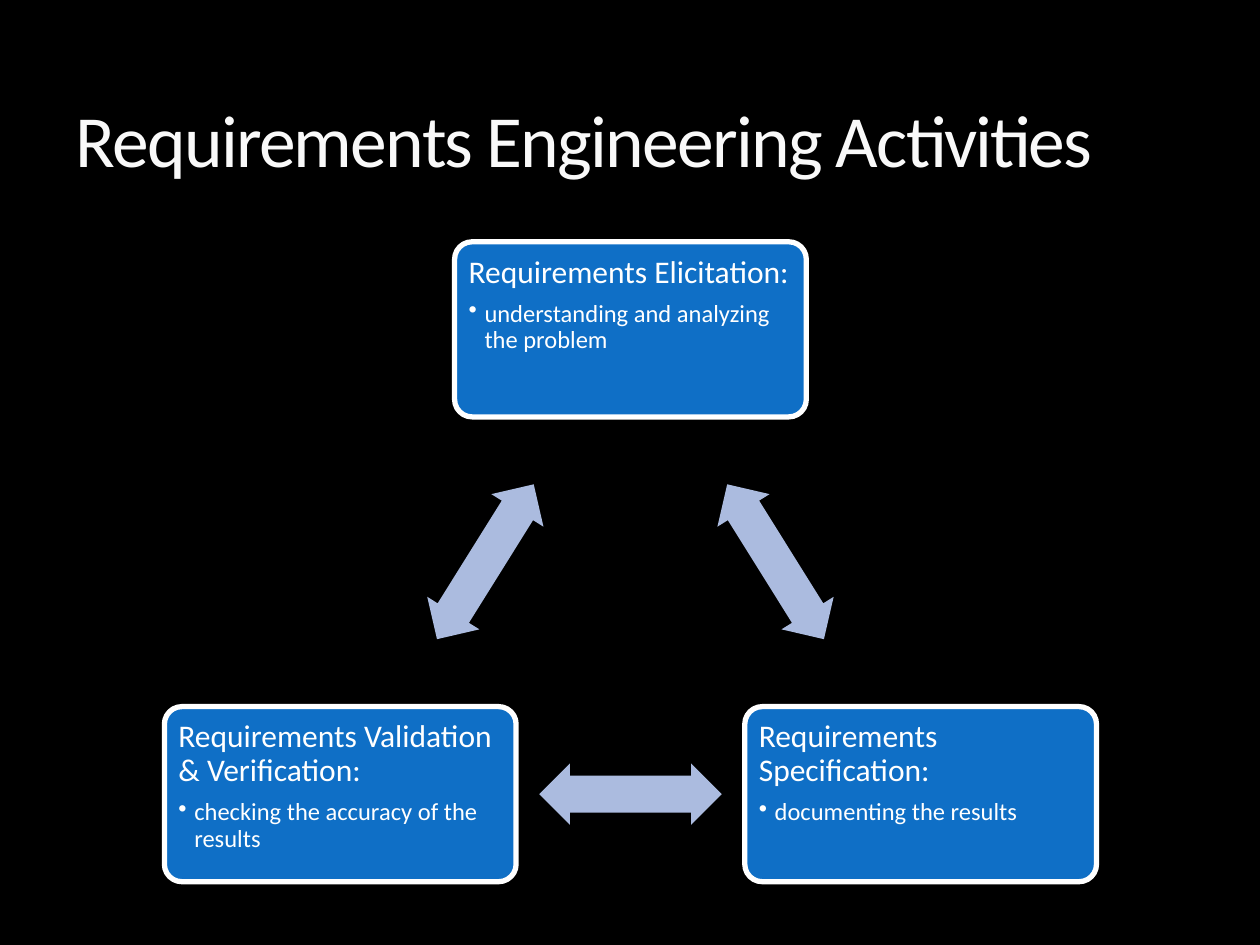
import math

import lxml.etree
import pptx
import pptx.dml.color
import pptx.enum.shapes
import pptx.enum.text
import pptx.oxml.ns
import pptx.util

Cm = pptx.util.Cm
Pt = pptx.util.Pt
RGBColor = pptx.dml.color.RGBColor
Shapes = pptx.enum.shapes.MSO_SHAPE
Anchor = pptx.enum.text.MSO_ANCHOR

TITLE = "Requirements Engineering Activities"
ACTIVITIES = [
    ("Requirements Elicitation:", "understanding and analyzing the problem"),
    ("Requirements Specification:", "documenting the results"),
    ("Requirements Validation & Verification:", "checking the accuracy of the results"),
]

BLACK = RGBColor(0x00, 0x00, 0x00)
WHITE = RGBColor(0xFF, 0xFF, 0xFF)
TITLE_WHITE = RGBColor(0xF9, 0xF9, 0xF9)
BLUE = RGBColor(0x0F, 0x6F, 0xC6)
PALE_BLUE = RGBColor(0xAB, 0xBB, 0xDF)

CENTER_X, TOP_Y, BOTTOM_Y, SPREAD = 12.71, 6.64, 16.01, 5.85
CENTERS = [
    (CENTER_X, TOP_Y),
    (CENTER_X + SPREAD, BOTTOM_Y),
    (CENTER_X - SPREAD, BOTTOM_Y),
]
BOX_SIZE = (7.09, 3.53)
ARROW_SIZE = (3.68, 1.24)

BOX_FRAME = {
    "word_wrap": True,
    "vertical_anchor": Anchor.TOP,
    "margin_left": Cm(0.18),
    "margin_right": Cm(0.18),
    "margin_top": Cm(0.18),
    "margin_bottom": Cm(0.18),
}
TITLE_FRAME = {
    "word_wrap": True,
    "vertical_anchor": Anchor.BOTTOM,
    "auto_size": pptx.enum.text.MSO_AUTO_SIZE.NONE,
}
PARA_FORMAT = {"alignment": pptx.enum.text.PP_ALIGN.LEFT, "line_spacing": 0.9}
HEADING_SPACE, DETAIL_SPACE = Pt(6.3), Pt(2.1)


def apply(target, values):
    for name, value in values.items():
        setattr(target, name, value)


def add_span(para, text, size, color):
    span = para.add_run()
    span.text = text
    apply(span.font, {"name": "Calibri", "size": Pt(size)})
    span.font.color.rgb = color
    return span


def add_centered(page, kind, center, size, fill, adjustments):
    (x, y), (width, height) = center, size
    shape = page.shapes.add_shape(
        kind, Cm(x - width / 2), Cm(y - height / 2), Cm(width), Cm(height))
    shape.shadow.inherit = False
    shape.fill.solid()
    shape.fill.fore_color.rgb = fill
    for index, value in enumerate(adjustments):
        shape.adjustments[index] = value
    return shape


def add_bullet(para):
    properties = para._p.get_or_add_pPr()
    properties.set("marL", str(Cm(0.32)))
    properties.set("indent", str(-Cm(0.32)))
    bullet = lxml.etree.SubElement(properties, pptx.oxml.ns.qn("a:buChar"))
    bullet.set("char", "•")


def add_activity(page, center, heading, detail):
    box = add_centered(page, Shapes.ROUNDED_RECTANGLE, center, BOX_SIZE, BLUE, [0.1])
    box.line.color.rgb = WHITE
    box.line.width = Pt(3)
    frame = box.text_frame
    apply(frame, BOX_FRAME)
    heading_para = frame.paragraphs[0]
    apply(heading_para, {**PARA_FORMAT, "space_after": HEADING_SPACE})
    add_span(heading_para, heading, 18, WHITE)
    detail_para = frame.add_paragraph()
    apply(detail_para, {**PARA_FORMAT, "space_after": DETAIL_SPACE, "level": 1})
    add_bullet(detail_para)
    add_span(detail_para, detail, 14, WHITE)


def add_arrow(page, start, end):
    middle = ((start[0] + end[0]) / 2, (start[1] + end[1]) / 2)
    arrow = add_centered(
        page, Shapes.LEFT_RIGHT_ARROW, middle, ARROW_SIZE, PALE_BLUE, [0.6, 0.5])
    arrow.line.fill.background()
    angle = math.degrees(math.atan2(end[1] - start[1], end[0] - start[0]))
    arrow.rotation = angle % 360


deck = pptx.Presentation()
deck.slide_width, deck.slide_height = Cm(25.4), Cm(19.05)
page = deck.slides.add_slide(deck.slide_layouts[5])
page.background.fill.solid()
page.background.fill.fore_color.rgb = BLACK

title = page.shapes.title
apply(title, {"left": Cm(1.27), "top": Cm(0.43), "width": Cm(22.86), "height": Cm(3.38)})
apply(title.text_frame, TITLE_FRAME)
title_para = title.text_frame.paragraphs[0]
title_para.alignment = PARA_FORMAT["alignment"]
title_span = add_span(title_para, TITLE, 42, TITLE_WHITE)
title_span.font._element.set("spc", "-100")

for index, (center, activity) in enumerate(zip(CENTERS, ACTIVITIES)):
    add_activity(page, center, *activity)
    add_arrow(page, center, CENTERS[(index + 1) % len(CENTERS)])

deck.save("out.pptx")
